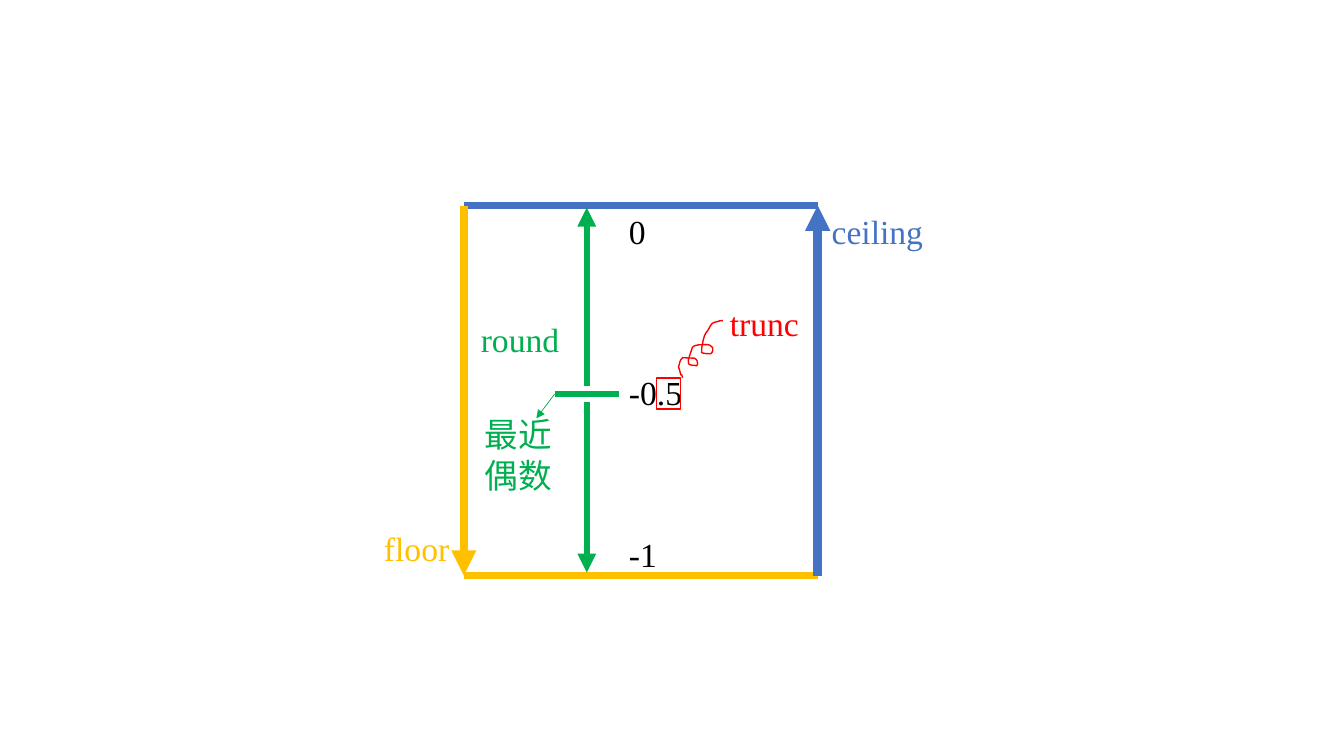
from pptx import Presentation
from pptx.dml.color import RGBColor
from pptx.enum import shapes, text
from pptx.oxml import ns
from pptx.util import Inches, Pt
from lxml import etree

FONT = "Times New Roman"
SIZE = Pt(24)
COLORS = {
    "black": "000000",
    "blue": "4472C4",
    "gold": "FFC000",
    "green": "00B050",
    "red": "FF0000",
}
CURL = [
    (0.04, 0.57),
    (0.02, 0.48), (0.04, 0.61), (0.01, 0.49),
    (0.01, 0.48), (0.01, 0.47), (0, 0.46),
    (0.01, 0.44), (0.01, 0.39), (0.04, 0.37),
    (0.05, 0.37), (0.06, 0.37), (0.07, 0.37),
    (0.15, 0.38), (0.18, 0.35), (0.19, 0.43),
    (0.19, 0.44), (0.18, 0.44), (0.18, 0.45),
    (0.16, 0.44), (0.12, 0.45), (0.1, 0.43),
    (0.09, 0.41), (0.1, 0.38), (0.11, 0.35),
    (0.11, 0.33), (0.13, 0.31), (0.13, 0.29),
    (0.14, 0.27), (0.13, 0.26), (0.16, 0.25),
    (0.19, 0.24), (0.21, 0.24), (0.23, 0.24),
    (0.26, 0.24), (0.31, 0.23), (0.33, 0.26),
    (0.35, 0.27), (0.34, 0.32), (0.32, 0.33),
    (0.29, 0.34), (0.26, 0.32), (0.23, 0.32),
    (0.23, 0.28), (0.23, 0.25), (0.24, 0.22),
    (0.25, 0.17), (0.26, 0.13), (0.29, 0.1),
    (0.31, 0.07), (0.32, 0.03), (0.35, 0.02),
    (0.43, 0), (0.4, 0), (0.44, 0),
]


def paint(color):
    return RGBColor.from_string(COLORS[color])


def label(group, x, y, w, h, lines, color, gap=0):
    box = group.shapes.add_textbox(Inches(x), Inches(y), Inches(w), Inches(h))
    frame = box.text_frame
    frame.word_wrap = False
    frame.auto_size = text.MSO_AUTO_SIZE.SHAPE_TO_FIT_TEXT
    frame.text = "\n".join(lines)
    for i, par in enumerate(frame.paragraphs):
        par.font.name = FONT
        par.font.size = SIZE
        par.font.color.rgb = paint(color)
        if i and gap:
            par.space_before = Pt(gap)


def stroke(group, x1, y1, x2, y2, color, width, arrow=False):
    line = group.shapes.add_connector(
        shapes.MSO_CONNECTOR.STRAIGHT,
        Inches(x1), Inches(y1), Inches(x2), Inches(y2))
    line.line.color.rgb = paint(color)
    line.line.width = Pt(width)
    if arrow:
        tip = etree.SubElement(line.line._get_or_add_ln(), ns.qn("a:tailEnd"))
        tip.set("type", "triangle")
    etree.SubElement(line._element.spPr, ns.qn("a:effectLst"))


def outline(shape, color):
    shape.shadow.inherit = False
    shape.fill.background()
    shape.line.color.rgb = paint(color)
    shape.line.width = Pt(1)


def bounds(group, x, y, w, h):
    right, base = x + w, y + h
    stroke(group, x, y, right, y, "blue", 4.5)
    stroke(group, x, base, right, base, "gold", 4.5)
    stroke(group, x, y, x, base, "gold", 6, True)
    stroke(group, right, base, right, y, "blue", 6, True)
    label(group, x - 0.89, base - 0.52, 0.86, 0.5, ["floor"], "gold")
    label(group, right + 0.04, y, 1.12, 0.5, ["ceiling"], "blue")


def scale(group, x, y, w, h):
    label(group, x, y, w, h, ["0", "-0.5", "-1"], "black", 86.6)


def curl(group, x, y):
    dots = [(Inches(x + a), Inches(y + b)) for a, b in CURL]
    pen = group.shapes.build_freeform(*dots[0])
    pen.add_line_segments(dots[1:], close=False)
    shape = pen.convert_to_shape()
    lines = list(shape._element.iter(ns.qn("a:lnTo")))
    for i in range(0, len(lines), 3):
        bend = etree.Element(ns.qn("a:cubicBezTo"))
        lines[i].addprevious(bend)
        for line in lines[i:i + 3]:
            bend.append(line[0])
            line.getparent().remove(line)
    outline(shape, "red")


def trunc(group, x, y):
    mark = group.shapes.add_shape(
        shapes.MSO_SHAPE.RECTANGLE,
        Inches(x), Inches(y + 0.79), Inches(0.24), Inches(0.31))
    outline(mark, "red")
    curl(group, x + 0.22, y + 0.22)
    label(group, x + 0.63, y, 0.89, 0.5, ["trunc"], "red")


def nearest(group, x, y, w, h):
    left, right = x + w - 0.64, x + w
    axis, mid = right - 0.32, y + h / 2 + 0.04
    stroke(group, left, mid, right, mid, "green", 4.5)
    for side, end in ((-1, y), (1, y + h)):
        stroke(group, axis, mid + side * 0.08, axis, end, "green", 4.5, True)
    label(group, x, y + 1.05, 0.99, 0.5, ["round"], "green")
    stroke(group, left, mid, left - 0.18, mid + 0.24, "green", 0.5, True)
    label(group, x + 0.04, mid + 0.15, 0.88, 0.91, ["最近", "偶数"], "green")


def diagram(slide, x, y, w, h):
    group = slide.shapes.add_group_shape()
    scale(group, x + 1.54, y, 0.73, h + 0.07)
    bounds(group, x, y, w, h)
    trunc(group, x + 1.91, y + 0.92)
    nearest(group, x + 0.07, y + 0.02, 1.47, h - 0.05)


def main():
    deck = Presentation()
    deck.slide_width = Inches(13.33)
    deck.slide_height = Inches(7.5)
    slide = deck.slides.add_slide(deck.slide_layouts[6])
    diagram(slide, 4.6, 2.04, 3.51, 3.67)
    deck.save("out.pptx")


if __name__ == "__main__":
    main()
